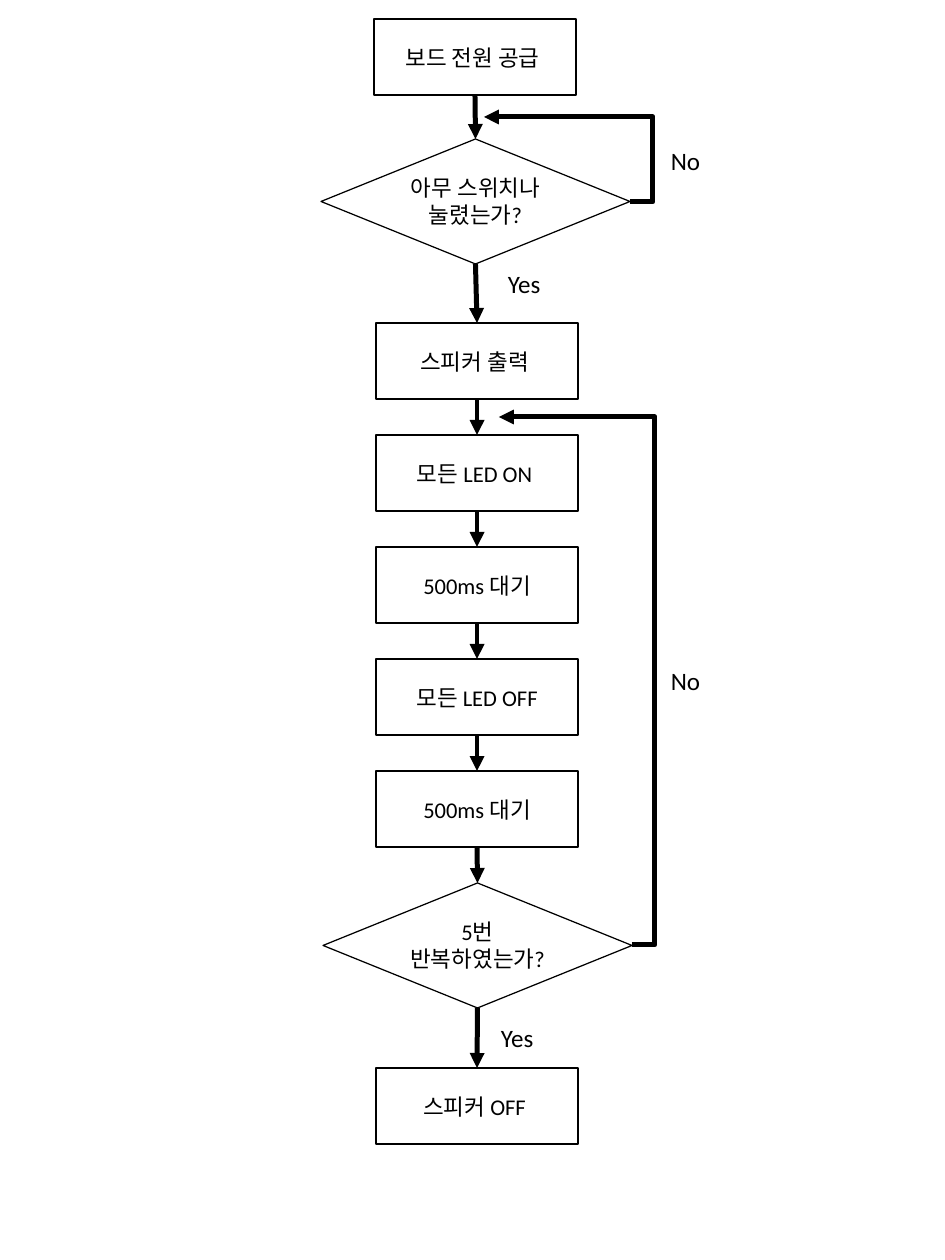
from dataclasses import dataclass
from itertools import pairwise

from lxml import etree
from pptx import Presentation
from pptx import util as u
from pptx.dml.color import RGBColor
from pptx.enum import shapes, text
from pptx.oxml import ns

BLACK = RGBColor(0, 0, 0)
WHITE = RGBColor(255, 255, 255)
FONT = "Calibri"
EMU_PER_PIXEL = 10160
STEP_SIZE = (202, 76)
DECISION_SIZE = (309, 125)
LOOP_TOP = 323
PITCH = 112
TOP, BOTTOM = 0, 2


@dataclass(frozen=True)
class Node:
    label: str
    left: int
    top: int
    decision: bool = False


@dataclass(frozen=True)
class Branch:
    label: str
    left: int
    top: int


@dataclass(frozen=True)
class Loop:
    start: tuple[int, int]
    end: tuple[int, int]
    overhang: int


def px(length: int) -> u.Emu:
    return u.Emu(length * EMU_PER_PIXEL)


def style_font(paragraph, size: int) -> None:
    paragraph.font.name = FONT
    paragraph.font.size = u.Pt(size)
    paragraph.font.color.rgb = BLACK


def add_node(slide, node: Node):
    if node.decision:
        kind, size = shapes.MSO_SHAPE.DIAMOND, DECISION_SIZE
    else:
        kind, size = shapes.MSO_SHAPE.RECTANGLE, STEP_SIZE
    box = slide.shapes.add_shape(kind, px(node.left), px(node.top), *map(px, size))
    box.shadow.inherit = False
    box.fill.solid()
    box.fill.fore_color.rgb = WHITE
    box.line.color.rgb = BLACK
    box.line.width = u.Pt(1)
    frame = box.text_frame
    frame.word_wrap = True
    frame.vertical_anchor = text.MSO_ANCHOR.MIDDLE
    frame.margin_left = frame.margin_right = u.Inches(0.07)
    frame.margin_top = frame.margin_bottom = u.Inches(0.04)
    paragraph = frame.paragraphs[0]
    paragraph.text = node.label
    paragraph.alignment = text.PP_ALIGN.CENTER
    style_font(paragraph, 18)
    return box


def add_arrow(slide, kind, start: tuple[int, int], end: tuple[int, int]):
    arrow = slide.shapes.add_connector(kind, *map(px, start + end))
    arrow.line.color.rgb = BLACK
    arrow.line.width = u.Pt(4)
    etree.SubElement(arrow.line._get_or_add_ln(), ns.qn("a:tailEnd"), type="triangle")
    etree.SubElement(arrow._element.spPr, ns.qn("a:effectLst"))
    return arrow


def add_flow(slide, source, target) -> None:
    arrow = add_arrow(slide, shapes.MSO_CONNECTOR.STRAIGHT, (0, 0), (0, 0))
    arrow.begin_connect(source, BOTTOM)
    arrow.end_connect(target, TOP)


def add_loop(slide, loop: Loop) -> None:
    arrow = add_arrow(slide, shapes.MSO_CONNECTOR.ELBOW, loop.start, loop.end)
    bend = round(-100000 * loop.overhang / (loop.start[0] - loop.end[0]))
    geometry = arrow._element.spPr.find(ns.qn("a:prstGeom"))
    guides = geometry.find(ns.qn("a:avLst"))
    if guides is None:
        guides = etree.SubElement(geometry, ns.qn("a:avLst"))
    etree.SubElement(guides, ns.qn("a:gd"), name="adj1", fmla=f"val {bend}")


def add_branch(slide, branch: Branch) -> None:
    box = slide.shapes.add_textbox(px(branch.left), px(branch.top), px(103), px(39))
    box.text_frame.word_wrap = True
    paragraph = box.text_frame.paragraphs[0]
    paragraph.text = branch.label
    style_font(paragraph, 20)


LOOP_STEPS = ["스피커 출력 ", "모든 LED ON ", "500ms 대기", "모든 LED OFF", "500ms 대기"]
NODES = [
    Node("보드 전원 공급 ", 374, 19),
    Node("아무 스위치나 눌렸는가?", 321, 139, decision=True),
    *(Node(label, 376, LOOP_TOP + row * PITCH) for row, label in enumerate(LOOP_STEPS)),
    Node("5번 반복하였는가?", 323, LOOP_TOP + len(LOOP_STEPS) * PITCH, decision=True),
    Node("스피커 OFF ", 376, 1068),
]
LOOPS = [Loop((630, 202), (484, 117), 23), Loop((632, 945), (499, 417), 23)]
BRANCHES = [
    Branch("Yes", 499, 264),
    Branch("No", 662, 141),
    Branch("Yes", 492, 1018),
    Branch("No", 662, 661),
]

deck = Presentation()
deck.slide_width, deck.slide_height = px(945), px(1260)
flowchart = deck.slides.add_slide(deck.slide_layouts[6])

boxes = [add_node(flowchart, node) for node in NODES]
for source, target in pairwise(boxes):
    add_flow(flowchart, source, target)
for loop in LOOPS:
    add_loop(flowchart, loop)
for branch in BRANCHES:
    add_branch(flowchart, branch)

deck.save("out.pptx")
